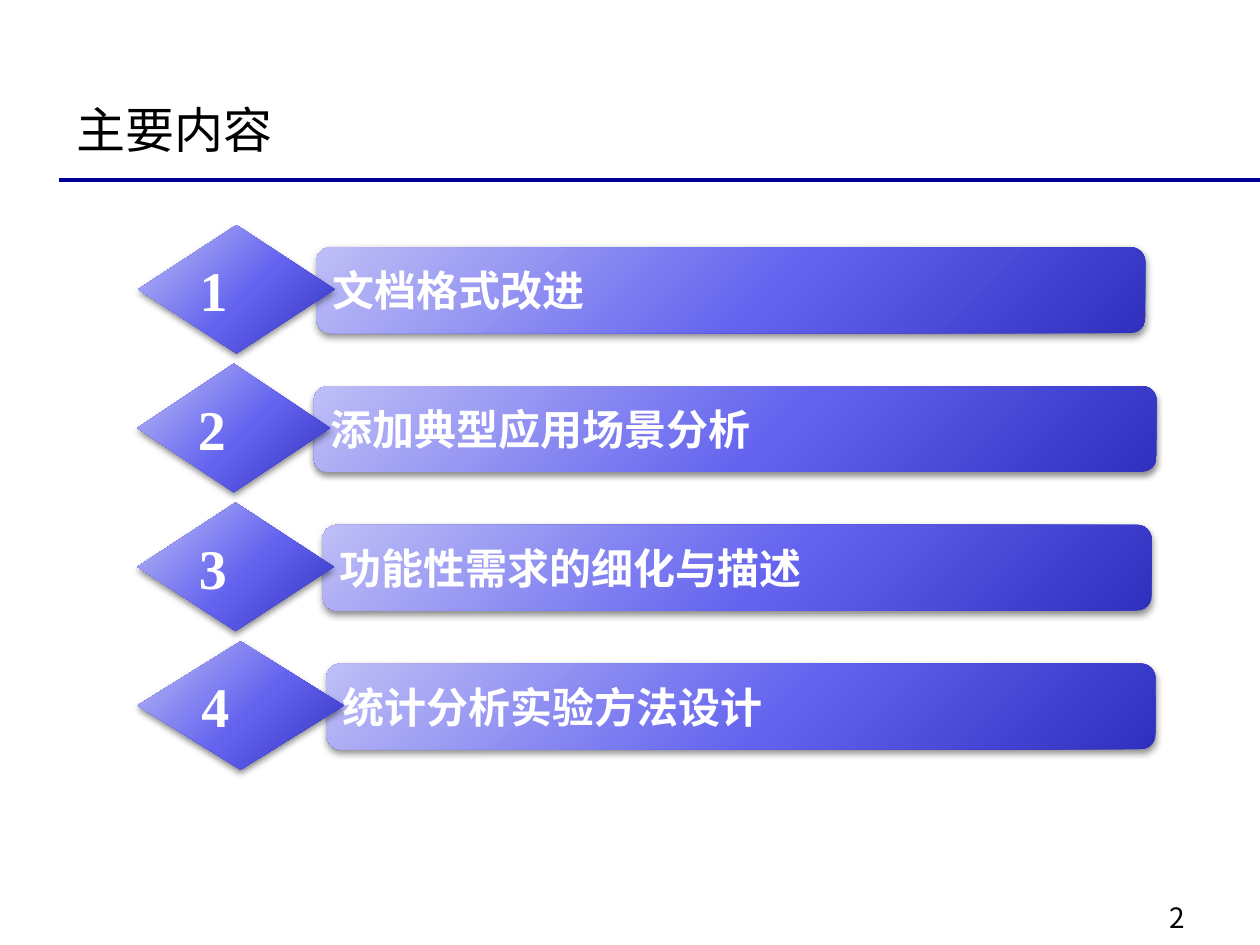
import pptx
import pptx.util
import pptx.dml.color
import pptx.enum.shapes
import pptx.enum.text
import pptx.oxml
import pptx.oxml.ns

Pt = pptx.util.Pt
KIND = pptx.enum.shapes.MSO_SHAPE
ALIGN = pptx.enum.text.PP_ALIGN
ANCHOR = pptx.enum.text.MSO_ANCHOR
NS = pptx.oxml.ns.nsdecls("a")
SANS, SERIF = "Noto Sans CJK SC", "Times New Roman"
STOPS = [(0, "BEBEF6"), (55, "6363EF"), (100, "3030BE")]

# Each row: text, bar left, bar width, diamond left, diamond width
ROWS = [
    ("文档格式改进", 180.7, 473.8, 79, 112.3),
    ("添加典型应用场景分析", 179.3, 481.7, 78.5, 110.2),
    ("功能性需求的细化与描述", 184.3, 473.8, 78.5, 112.3),
    ("统计分析实验方法设计", 186.5, 473.8, 78.5, 118.1),
]
TOP, STEP, TALL, BAR = 128.6, 79.3, 73.4, 49


def color(code):
    return pptx.dml.color.RGBColor.from_string(code)


def write(shape, text, form, code, anchor):
    frame = shape.text_frame
    frame.word_wrap = True
    frame.vertical_anchor = anchor
    para = frame.paragraphs[0]
    para.alignment = ALIGN.LEFT
    run = para.add_run()
    run.text = text
    for key, value in form.items():
        setattr(run.font, key, value)
    run.font.color.rgb = color(code)
    # East Asian letters take the sans font
    run.font._element.append(
        pptx.oxml.parse_xml(f'<a:ea {NS} typeface="{SANS}"/>'))


def label(slide, text, box, size, anchor):
    shape = slide.shapes.add_textbox(*map(Pt, box))
    form = {"name": SANS, "size": Pt(size)}
    write(shape, text, form, "000000", anchor)


def glow(shape):
    """Radial gradient fill and a soft shadow below."""
    shape.line.fill.background()
    stops = "".join(
        f'<a:gs pos="{pos * 1000}"><a:srgbClr val="{code}"/></a:gs>'
        for pos, code in STOPS)
    fill = pptx.oxml.parse_xml(
        f'<a:gradFill {NS} rotWithShape="1"><a:gsLst>{stops}</a:gsLst>'
        '<a:path path="circle"><a:fillToRect l="-40000" t="-90000" '
        'r="140000" b="190000"/></a:path></a:gradFill>')
    shade = pptx.oxml.parse_xml(
        f'<a:effectLst {NS}><a:outerShdw blurRad="{Pt(4)}" dist="{Pt(2)}" '
        'dir="5400000" rotWithShape="0"><a:srgbClr val="000000">'
        '<a:alpha val="45000"/></a:srgbClr></a:outerShdw></a:effectLst>')
    props = shape._element.spPr
    props.find(pptx.oxml.ns.qn("a:prstGeom")).addnext(fill)
    props.append(shade)


def block(slide, kind, box, text, size):
    shape = slide.shapes.add_shape(kind, *map(Pt, box))
    glow(shape)
    form = {"name": SERIF, "size": Pt(size), "bold": True}
    write(shape, text, form, "FFFFFF", ANCHOR.MIDDLE)


def header(slide, left, top, width, height):
    label(slide, "主要内容", (left, top, width, height), 28, ANCHOR.MIDDLE)
    # Rule below the title, out to the slide edge
    y = Pt(top + height + 4.3)
    rule = slide.shapes.add_connector(
        pptx.enum.shapes.MSO_CONNECTOR.STRAIGHT,
        Pt(left - 2.9), y, Pt(720), y)
    rule.line.color.rgb = color("000099")
    rule.line.width = Pt(2.25)
    rule._element.spPr.append(pptx.oxml.parse_xml(f"<a:effectLst {NS}/>"))


def agenda(slide, top):
    for i, (text, left, width, tip, span) in enumerate(ROWS):
        y = top + i * STEP
        bar = (left, y + (TALL - BAR) / 2 + 0.5, width, BAR)
        block(slide, KIND.ROUNDED_RECTANGLE, bar, text, 24)
        block(slide, KIND.DIAMOND, (tip, y, span, TALL), str(i + 1), 32)


def main():
    deck = pptx.Presentation()
    deck.slide_width, deck.slide_height = Pt(720), Pt(540)
    slide = deck.slides.add_slide(deck.slide_layouts[6])
    # Page number
    label(slide, "2", (661, 511.2, 42.5, 26.6), 16, ANCHOR.TOP)
    header(slide, 36.7, 49, 648, 49.7)
    agenda(slide, TOP)
    deck.save("out.pptx")


if __name__ == "__main__":
    main()
